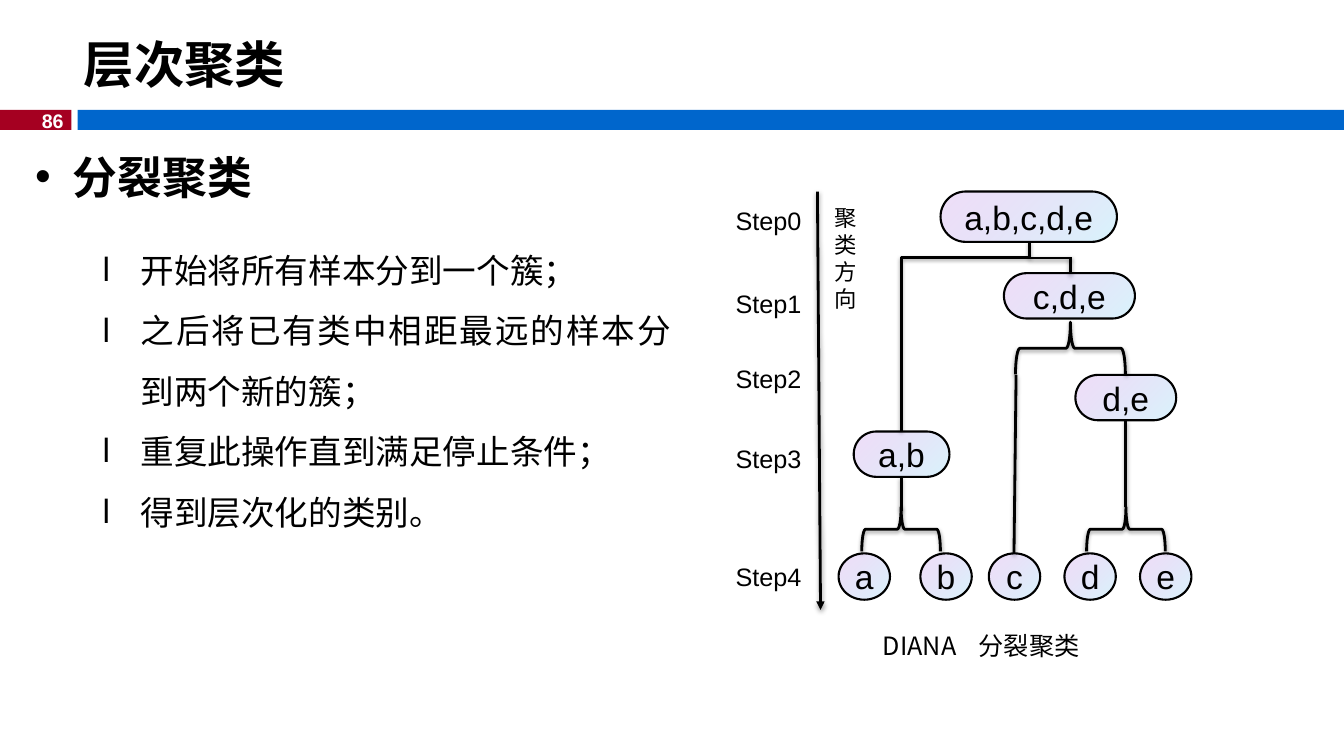
from lxml import etree
from pptx import Presentation
from pptx.dml.color import RGBColor
from pptx.enum.shapes import MSO_CONNECTOR, MSO_SHAPE
from pptx.enum.text import MSO_ANCHOR, PP_ALIGN
from pptx.oxml import parse_xml
from pptx.oxml.ns import nsdecls, qn
from pptx.util import Pt

STRAIGHT, ELBOW = MSO_CONNECTOR.STRAIGHT, MSO_CONNECTOR.ELBOW
RECTANGLE, OVAL = MSO_SHAPE.RECTANGLE, MSO_SHAPE.OVAL
PILL, BRACE = MSO_SHAPE.ROUNDED_RECTANGLE, MSO_SHAPE.RIGHT_BRACE
TOP, MIDDLE = MSO_ANCHOR.TOP, MSO_ANCHOR.MIDDLE
LEFT, CENTER, RIGHT = PP_ALIGN.LEFT, PP_ALIGN.CENTER, PP_ALIGN.RIGHT
JUSTIFY = PP_ALIGN.JUSTIFY
CHINESE = "Noto Sans CJK SC"
BLACK = "000000"

STEP_TOPS = [143.3, 202.3, 255.6, 313.2, 397.4]
LEAVES = {"a": 599, "b": 657.4, "c": 706.3, "d": 760.3, "e": 814.3}
CLUSTERS = [
    ("a,b,c,d,e", 671.8, 136.8, 126, 36),
    ("c,d,e", 717.1, 195.1, 93.6, 32.4),
    ("d,e", 768.2, 267.8, 72, 32.4),
    ("a,b", 609.8, 308.2, 68.4, 32.4),
]
BRACES = [
    (788.4, 349.9, 31.7, 56.2),
    (627.8, 349.9, 31.7, 56.2),
    (745.9, 209.5, 37.4, 78.5),
]
BRANCHES = [
    (804.2, 300.2, 804.2, 362.2),
    (643.7, 365, 643.7, 340.6),
    (724.3, 395.3, 725.8, 267.8),
    (764.6, 195.8, 764.6, 183.6),
    (765.4, 184.3, 735.1, 184.3),
]
POINTS = [
    "开始将所有样本分到一个簇；",
    "之后将已有类中相距最远的样本分到两个新的簇；",
    "重复此操作直到满足停止条件；",
    "得到层次化的类别。",
]


def color(value):
    return RGBColor.from_string(value)


def write(shape, *texts, size, font="Arial", fill=BLACK, bold=False,
          align=LEFT, anchor=MIDDLE, insets=(7.2, 3.6), bullet=None,
          indent=0, spacing=None, tab=None):
    """Fill a shape with one paragraph per text."""
    frame = shape.text_frame
    frame.word_wrap = True
    frame.vertical_anchor = anchor
    frame.margin_left = frame.margin_right = Pt(insets[0])
    frame.margin_top = frame.margin_bottom = Pt(insets[1])
    for index, text in enumerate(texts):
        paragraph = frame.add_paragraph() if index else frame.paragraphs[0]
        paragraph.alignment = align
        if spacing:
            paragraph.line_spacing = Pt(spacing)
        properties = paragraph._p.get_or_add_pPr()
        if bullet:
            properties.set("marL", str(Pt(indent)))
            properties.set("indent", str(-Pt(indent)))
            etree.SubElement(properties, qn("a:buFont"), typeface="Arial")
            etree.SubElement(properties, qn("a:buChar"), char=bullet)
        if tab:
            tabs = etree.SubElement(properties, qn("a:tabLst"))
            etree.SubElement(tabs, qn("a:tab"), pos=str(Pt(tab)), algn="l")
        run = paragraph.add_run()
        run.text = text
        run.font.size, run.font.name, run.font.bold = Pt(size), font, bold
        run.font.color.rgb = color(fill)
        east_asian = etree.SubElement(run._r.get_or_add_rPr(), qn("a:ea"))
        east_asian.set("typeface", CHINESE)


def add_text(slide, box, *texts, **text_format):
    shape = slide.shapes.add_textbox(*map(Pt, box))
    write(shape, *texts, **text_format)


def add_bar(slide, box, fill):
    bar = slide.shapes.add_shape(RECTANGLE, *map(Pt, box))
    bar.shadow.inherit = False
    bar.fill.solid()
    bar.fill.fore_color.rgb = color(fill)
    bar.line.fill.background()


def add_node(slide, kind, text, box):
    """Draw a cluster with a pale gradient and its members."""
    node = slide.shapes.add_shape(kind, *map(Pt, box))
    node.shadow.inherit = False
    if kind == PILL:
        node.adjustments[0] = 0.5
    stops = "".join(
        f'<a:gs pos="{position}"><a:srgbClr val="{value}">'
        f'<a:alpha val="{alpha}"/></a:srgbClr></a:gs>'
        for position, value, alpha in
        [(0, "69D4F4", 26000), (100000, "9F39D5", 17000)])
    gradient = parse_xml(
        f'<a:gradFill {nsdecls("a")} rotWithShape="1"><a:gsLst>{stops}'
        '</a:gsLst><a:lin ang="13500000" scaled="0"/></a:gradFill>')
    node._element.spPr.find(qn("a:prstGeom")).addnext(gradient)
    node.line.color.rgb = color(BLACK)
    node.line.width = Pt(1.5)
    write(node, text, size=24, align=CENTER, insets=(0, 0))


def style_branch(shape):
    """Give a line or brace its black stroke and soft shadow."""
    shape.line.color.rgb = color(BLACK)
    shape.line.width = Pt(2)
    shape._element.spPr.append(parse_xml(
        f'<a:effectLst {nsdecls("a")}><a:outerShdw blurRad="{Pt(3.1)}" '
        f'dist="{Pt(1.6)}" dir="5400000" rotWithShape="0">'
        f'<a:srgbClr val="{BLACK}"><a:alpha val="38000"/></a:srgbClr>'
        '</a:outerShdw></a:effectLst>'))


def add_brace(slide, box):
    brace = slide.shapes.add_shape(BRACE, *map(Pt, box))
    brace.rotation = 270
    brace.fill.background()
    style_branch(brace)


def add_line(slide, ends, kind=STRAIGHT, arrow=False):
    line = slide.shapes.add_connector(kind, *map(Pt, ends))
    style_branch(line)
    if arrow:
        etree.SubElement(line.line._get_or_add_ln(), qn("a:tailEnd"),
                         type="triangle")
    return line


def add_elbow(slide, ends, bend):
    """Draw a quarter-turned elbow; bend is its share of the run."""
    properties = add_line(slide, ends, ELBOW)._element.spPr
    properties.find(qn("a:xfrm")).set("rot", "5400000")
    guides = properties.find(qn("a:prstGeom")).get_or_add_avLst()
    etree.SubElement(guides, qn("a:gd"), name="adj1",
                     fmla=f"val {round(bend * 100000)}")


def main():
    presentation = Presentation()
    presentation.slide_width, presentation.slide_height = Pt(960), Pt(540)
    slide = presentation.slides.add_slide(presentation.slide_layouts[5])

    # Title and header bars
    add_bar(slide, (0, 78.5, 51, 14.4), "A50021")
    add_bar(slide, (55.5, 78.5, 904.5, 14.4), "0066CC")
    add_text(slide, (20.9, 74.2, 31.7, 24.5), "86", size=14, fill="FFFFFF",
             bold=True, align=RIGHT)
    title = slide.shapes.title
    title.left, title.top, title.width, title.height = map(
        Pt, (52.6, 18.7, 907.4, 53.3))
    write(title, "层次聚类", size=36, font=CHINESE, bold=True)

    # Explanation
    add_text(slide, (18, 106.6, 460, 50), "分裂聚类", size=32, bold=True,
             font="Times New Roman", align=JUSTIFY, anchor=TOP,
             insets=(7.2, 0), bullet="•", indent=27)
    add_text(slide, (73.4, 164, 406.1, 220), *POINTS, size=24, font=CHINESE,
             align=JUSTIFY, anchor=TOP, insets=(0, 0), bullet="l",
             indent=27, spacing=43.2)

    # Tree branches
    for box in BRACES:
        add_brace(slide, box)
    for ends in BRANCHES:
        add_line(slide, ends)
    add_elbow(slide, (757.1, 285.9, 621.7, 194.5), 0.914)

    # Clusters
    for text, *box in CLUSTERS:
        add_node(slide, PILL, text, box)
    for text, left in LEAVES.items():
        add_node(slide, OVAL, text, (left, 395.3, 36.7, 33.1))

    # Step axis and caption
    add_line(slide, (583.9, 136.8, 586.1, 435.6), arrow=True)
    for number, top in enumerate(STEP_TOPS):
        add_text(slide, (518.4, top, 72, 28.8), f"Step{number}", size=18)
    add_text(slide, (589, 142, 34.6, 85), "聚类方向", size=16, anchor=TOP,
             spacing=19.3)
    add_text(slide, (623.5, 446.4, 253.4, 28.8), "DIANA\t分裂聚类", size=18,
             font=CHINESE, tab=68.5)

    presentation.save("out.pptx")


if __name__ == "__main__":
    main()
